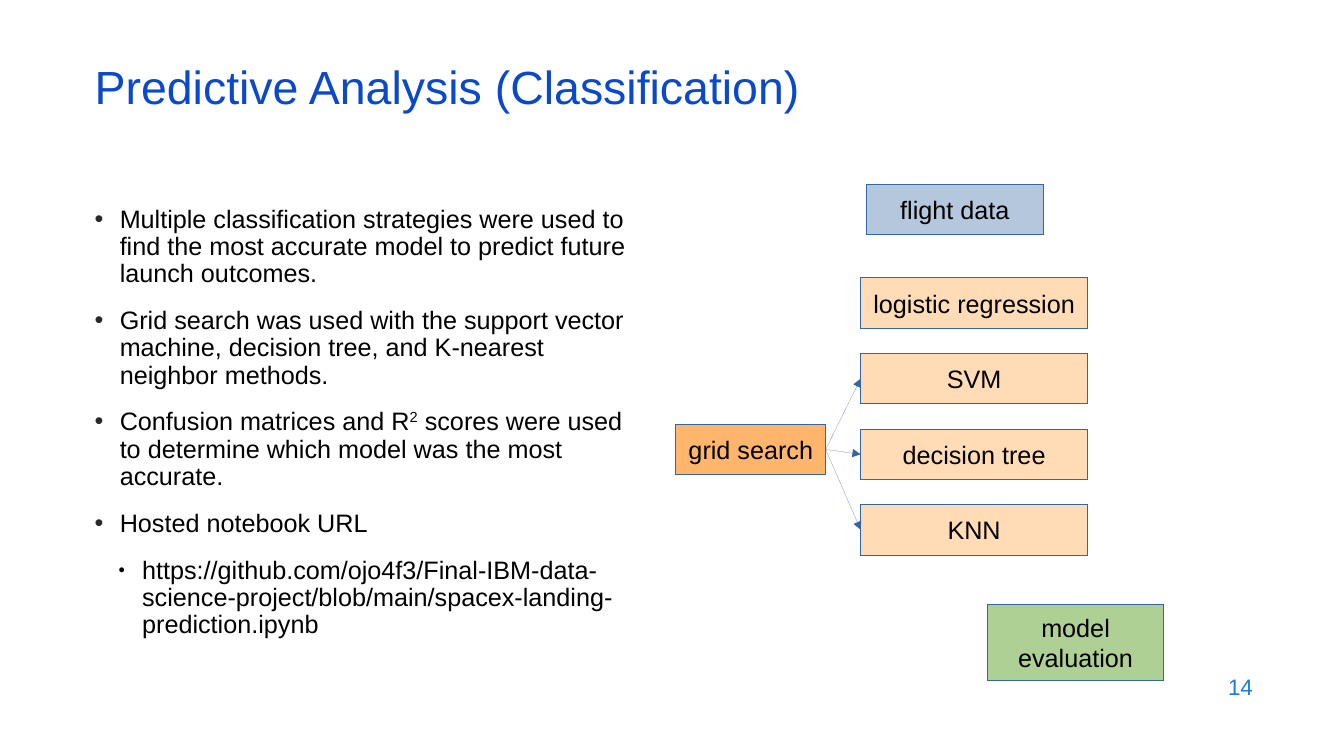
import pptx
import pptx.util
import pptx.dml.color
import pptx.enum.shapes
import pptx.enum.text
import pptx.oxml.ns
from lxml import etree

Pt = pptx.util.Pt
ALIGN = pptx.enum.text.PP_ALIGN
ANCHOR = pptx.enum.text.MSO_ANCHOR
COLORS = {
    "text": "000000", "title": "0B49CB", "number": "1C7DDB", "bullet": "292929",
    "outline": "3465A4", "data": "B4C7DC", "model": "FFDBB6",
    "search": "FFB66C", "evaluation": "AFD095",
}
POINTS = [
    "Multiple classification strategies were used to find the most accurate model "
    "to predict future launch outcomes.",
    "Grid search was used with the support vector machine, decision tree, "
    "and K-nearest neighbor methods.",
    "Confusion matrices and R^2^ scores were used to determine which model "
    "was the most accurate.",
    "Hosted notebook URL",
]
NOTEBOOK = ("https://github.com/ojo4f3/Final-IBM-data-science-project/blob/main/"
            "spacex-landing-prediction.ipynb")
MODELS = ["logistic regression", "SVM", "decision tree", "KNN"]


def color(name):
    return pptx.dml.color.RGBColor.from_string(COLORS[name])


def add_xml(parent, tag, **attributes):
    return etree.SubElement(parent, pptx.oxml.ns.qn(tag), attributes)


def set_font(paragraph, size, color_name):
    paragraph.font.name = "Arial"
    paragraph.font.size = Pt(size)
    paragraph.font.color.rgb = color(color_name)


def set_hairline(line):
    line.color.rgb = color("outline")
    outline = line._get_or_add_ln()
    # A width of zero must be written out to override the theme's width
    outline.set("w", "0")
    return outline


def add_frame(slide, box, anchor):
    frame = slide.shapes.add_textbox(*map(Pt, box)).text_frame
    frame.word_wrap = True
    frame.vertical_anchor = anchor
    return frame


def add_line_of_text(slide, box, text, size, color_name, align, spacing):
    paragraph = add_frame(slide, box, ANCHOR.MIDDLE).paragraphs[0]
    paragraph.text = text
    paragraph.alignment = align
    paragraph.line_spacing = spacing
    set_font(paragraph, size, color_name)


def add_bullet(paragraph, text, margin, hanging, mark, mark_color, mark_size):
    properties = paragraph._p.get_or_add_pPr()
    properties.set("marL", str(Pt(margin)))
    properties.set("indent", str(-Pt(hanging)))
    add_xml(add_xml(properties, "a:buClr"), "a:srgbClr", val=COLORS[mark_color])
    add_xml(properties, "a:buSzPct", val=str(mark_size * 1000))
    add_xml(properties, "a:buFont", typeface="Arial")
    add_xml(properties, "a:buChar", char=mark)
    paragraph.line_spacing = 0.9
    set_font(paragraph, 18, "text")
    # Text between carets is superscript
    for index, part in enumerate(text.split("^")):
        run = paragraph.add_run()
        run.text = part
        if index % 2:
            run._r.get_or_add_rPr().set("baseline", "33000")


def add_findings(slide, box):
    frame = add_frame(slide, box, ANCHOR.TOP)
    for index, point in enumerate(POINTS):
        paragraph = frame.add_paragraph() if index else frame.paragraphs[0]
        add_bullet(paragraph, point, 18, 18, "•", "bullet", 100)
        if index:
            paragraph.space_before = Pt(14)
    notebook = frame.add_paragraph()
    notebook.level = 1
    add_bullet(notebook, NOTEBOOK, 34, 17, "●", "text", 45)
    notebook.space_before = Pt(14)


def add_step(slide, box, label, fill):
    step = slide.shapes.add_shape(pptx.enum.shapes.MSO_SHAPE.RECTANGLE, *map(Pt, box))
    step.shadow.inherit = False
    step.fill.solid()
    step.fill.fore_color.rgb = color(fill)
    set_hairline(step.line)
    step.text_frame.word_wrap = True
    step.text_frame.vertical_anchor = ANCHOR.MIDDLE
    paragraph = step.text_frame.paragraphs[0]
    paragraph.text = label
    paragraph.alignment = ALIGN.CENTER
    set_font(paragraph, 18, "text")
    return step


def add_arrow(slide, start, end):
    arrow = slide.shapes.add_connector(
        pptx.enum.shapes.MSO_CONNECTOR.STRAIGHT, 0, 0, 0, 0)
    arrow.begin_connect(start, 3)
    arrow.end_connect(end, 1)
    add_xml(set_hairline(arrow.line), "a:tailEnd", type="triangle")
    add_xml(arrow._element.spPr, "a:effectLst")


def add_workflow(slide, box):
    left, top, width, height = box
    step_height, model_left, model_width, pitch = 36, left + 132, 162, 54
    add_step(slide, (left + 136, top, 126.5, step_height), "flight data", "data")
    models = [
        add_step(slide, (model_left, top + 67 + row * pitch, model_width, step_height),
                 label, "model")
        for row, label in enumerate(MODELS)
    ]
    add_step(slide, (left + width - 126, top + height - 54, 126, 54),
             "model evaluation", "evaluation")
    search = add_step(slide, (left, top + 171.5, 107, step_height),
                      "grid search", "search")
    # Grid search tunes every model but logistic regression
    for model in models[1:]:
        add_arrow(slide, search, model)


def main():
    deck = pptx.Presentation()
    deck.slide_width, deck.slide_height = Pt(960), Pt(540)
    slide = deck.slides.add_slide(deck.slide_layouts[6])
    # Title and findings
    add_line_of_text(slide, (60.5, 42.5, 828, 43),
                     "Predictive Analysis (Classification)", 33.2, "title",
                     ALIGN.LEFT, 0.9)
    add_findings(slide, (60.5, 144, 395.5, 342.5))
    # Modelling workflow
    add_workflow(slide, (482.8, 131.5, 348.5, 354.5))
    # Slide number
    add_line_of_text(slide, (686, 474.5, 216, 31.5), "14", 16, "number",
                     ALIGN.RIGHT, 1.0)
    deck.save("out.pptx")


if __name__ == "__main__":
    main()
